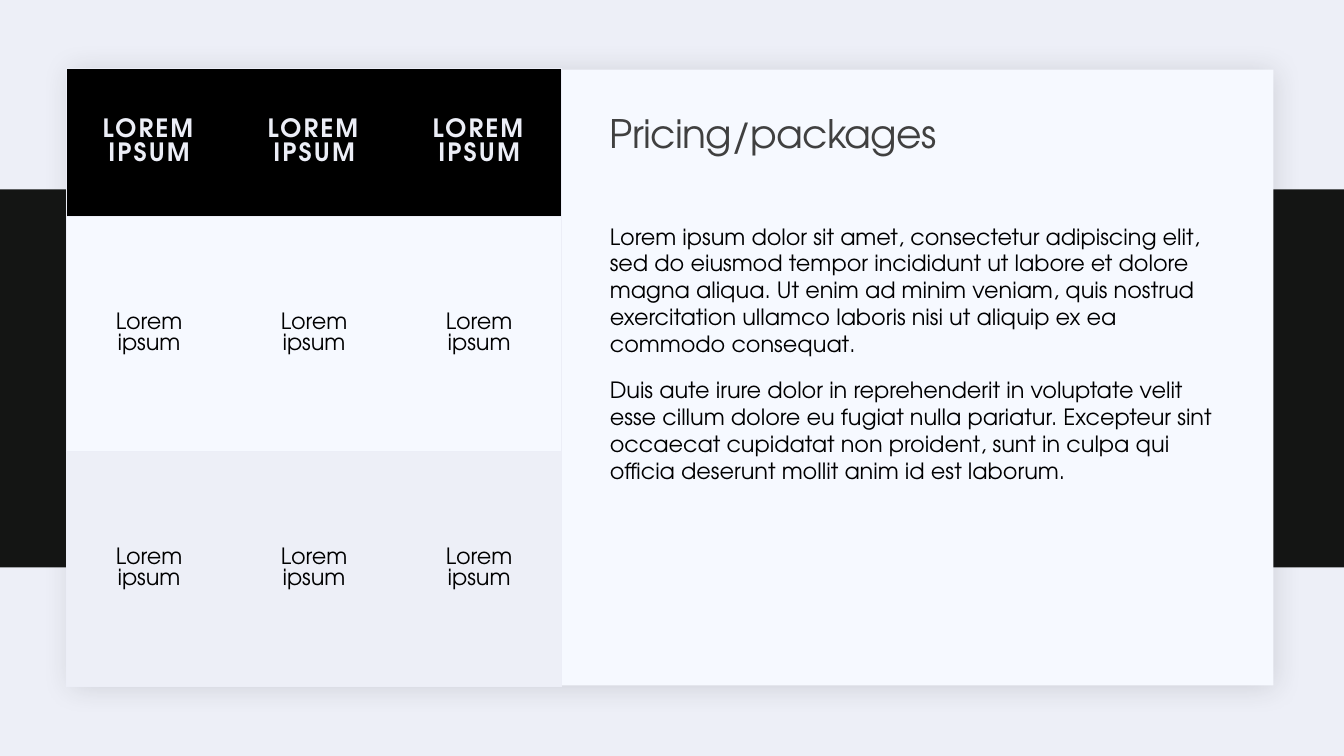
import pptx
import pptx.dml.color
import pptx.enum.shapes
import pptx.enum.text
import pptx.oxml
import pptx.util

Inches = pptx.util.Inches
Pt = pptx.util.Pt
Anchor = pptx.enum.text.MSO_ANCHOR
Align = pptx.enum.text.PP_ALIGN
NS = 'xmlns:a="http://schemas.openxmlformats.org/drawingml/2006/main"'

PALE, WHITE, RULE = "EDEFF7", "F6F9FF", "ECEEF7"
DARK, BLACK, GREY = "141514", "000000", "404040"

BODY = [
    "Lorem ipsum dolor sit amet, consectetur adipiscing elit, sed do eiusmod "
    "tempor incididunt ut labore et dolore magna aliqua. Ut enim ad minim "
    "veniam, quis nostrud exercitation ullamco laboris nisi ut aliquip ex ea "
    "commodo consequat.",
    "Duis aute irure dolor in reprehenderit in voluptate velit esse cillum "
    "dolore eu fugiat nulla pariatur. Excepteur sint occaecat cupidatat non "
    "proident, sunt in culpa qui officia deserunt mollit anim id est laborum.",
]
# text, height, fill, size, colour, bold, letter spacing
ROWS = [
    ("LOREM IPSUM", 1.47, BLACK, 18, RULE, True, 1.5),
    ("Lorem ipsum", 2.33, WHITE, 16, BLACK, False, 0),
    ("Lorem ipsum", 2.33, PALE, 16, BLACK, False, 0),
]
COLS = 3


def rgb(code):
    return pptx.dml.color.RGBColor.from_string(code)


def box(at):
    return [Inches(n) for n in at]


class Page:
    def __init__(self, slide, font):
        self.slide = slide
        self.font = font

    def back(self, color):
        fill = self.slide.background.fill
        fill.solid()
        fill.fore_color.rgb = rgb(color)

    def rect(self, at, color):
        kind = pptx.enum.shapes.MSO_SHAPE.RECTANGLE
        shape = self.slide.shapes.add_shape(kind, *box(at))
        shape.shadow.inherit = False
        shape.fill.solid()
        shape.fill.fore_color.rgb = rgb(color)
        shape.line.fill.background()
        return shape

    def shade(self, shape, color, alpha, blur, dist, angle):
        """Give the shape a soft outer shadow."""
        glow = pptx.oxml.parse_xml(
            f'<a:outerShdw {NS} blurRad="{Pt(blur)}" dist="{Pt(dist)}" '
            f'dir="{angle * 60000}" algn="tl" rotWithShape="0">'
            f'<a:srgbClr val="{color}"><a:alpha val="{alpha * 1000}"/>'
            f'</a:srgbClr></a:outerShdw>')
        shape.element.spPr.find(pptx.oxml.ns.qn("a:effectLst")).append(glow)

    def run(self, para, text, size, color, bold=False, gap=0):
        run = para.add_run()
        run.text = text
        font = run.font
        font.name, font.size, font.bold = self.font, Pt(size), bold
        font.color.rgb = rgb(color)
        run._r.get_or_add_rPr().set("spc", str(round(gap * 100)))

    def text(self, at, lines, size, color, anchor, gap=0, lead=1.0, sides=0.1):
        frame = self.slide.shapes.add_textbox(*box(at)).text_frame
        frame.word_wrap = True
        frame.vertical_anchor = anchor
        frame.margin_left, frame.margin_right = Inches(sides), Inches(0)
        for i, line in enumerate(lines):
            para = frame.add_paragraph() if i else frame.paragraphs[0]
            para.line_spacing = lead
            if len(lines) > 1:
                para.space_before, para.space_after = Pt(12), Pt(2)
            self.run(para, line, size, color, gap=gap)

    def edges(self, cell, shown):
        """Rule the sides named in shown and clear the others."""
        props = cell._tc.get_or_add_tcPr()
        for i, side in enumerate("LRTB"):
            paint = "<a:noFill/>"
            if side in shown:
                paint = f'<a:solidFill><a:srgbClr val="{RULE}"/></a:solidFill>'
            props.insert(i, pptx.oxml.parse_xml(
                f'<a:ln{side} {NS} w="{Pt(1)}">{paint}</a:ln{side}>'))

    def cell(self, cell, text, fill, *style):
        cell.fill.solid()
        cell.fill.fore_color.rgb = rgb(fill)
        cell.vertical_anchor = Anchor.MIDDLE
        cell.margin_left = cell.margin_right = Inches(0.25)
        cell.margin_top = cell.margin_bottom = Inches(0.25)
        para = cell.text_frame.paragraphs[0]
        para.alignment = Align.CENTER
        self.run(para, text, *style)

    def table(self, at, rows, cols):
        grid = self.slide.shapes.add_table(len(rows), cols, *box(at)).table
        for r, (text, height, fill, *style) in enumerate(rows):
            grid.rows[r].height = Inches(height)
            for c in range(cols):
                cell = grid.cell(r, c)
                self.cell(cell, text, fill, *style)
                ends = ("L" if c == 0 else "") + ("R" if c == cols - 1 else "")
                self.edges(cell, "TB" + ends)


def main():
    deck = pptx.Presentation()
    deck.slide_width, deck.slide_height = Inches(13.33), Inches(7.5)
    page = Page(deck.slides.add_slide(deck.slide_layouts[6]),
                "TeX Gyre Adventor")
    page.back(PALE)
    page.rect((0, 1.88, 13.33, 3.75), DARK)
    card = page.rect((0.69, 0.69, 11.94, 6.11), WHITE)
    page.shade(card, "1F2125", 15, 20, 2, 45)
    page.text((5.95, 1.03, 6.25, 0.64), ["Pricing/packages"], 28, GREY,
              Anchor.MIDDLE, gap=-0.5, lead=0.9)
    page.text((5.95, 2.16, 6.25, 4.31), BODY, 16, BLACK, Anchor.TOP)
    page.table((0.66, 0.68, 4.91, 6.13), ROWS, COLS)
    deck.save("out.pptx")


if __name__ == "__main__":
    main()
